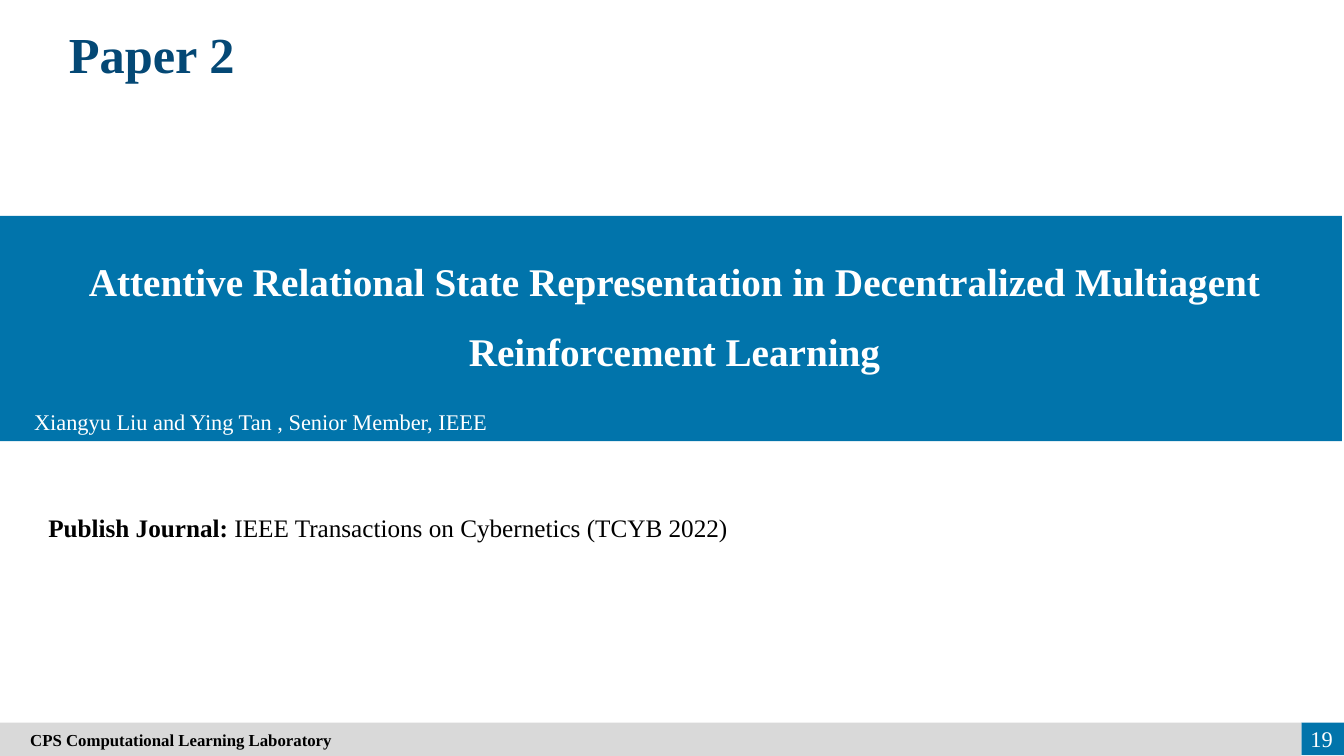
"""Build the "Paper 2" section slide that introduces a journal article."""
import dataclasses
import typing

import pptx
import pptx.dml.color
import pptx.enum.shapes
import pptx.enum.text
import pptx.util

Pt = pptx.util.Pt
Color = pptx.dml.color.RGBColor
Align = pptx.enum.text.PP_ALIGN
Anchor = pptx.enum.text.MSO_ANCHOR

WHITE = Color(0xFF, 0xFF, 0xFF)
BLACK = Color(0x00, 0x00, 0x00)
BLUE = Color(0x01, 0x74, 0xAB)
NAVY = Color(0x04, 0x48, 0x75)
GREY = Color(0xD9, 0xD9, 0xD9)

SLIDE_WIDTH, SLIDE_HEIGHT = 960, 540
FOOTER_TOP = 516.25
PAGE_LEFT = 929.5
FONT_NAME = "Times New Roman"


@dataclasses.dataclass(frozen=True)
class Box:
    left: float
    top: float
    width: float
    height: float


@dataclasses.dataclass(frozen=True)
class Run:
    text: str
    bold: bool = False


@dataclasses.dataclass(frozen=True)
class Label:
    box: Box
    runs: tuple[Run, ...]
    size: float
    color: Color
    align: Align = Align.LEFT
    anchor: Anchor = Anchor.TOP
    line_spacing: float = 1.0
    margin_left: float = 7.2


@dataclasses.dataclass(frozen=True)
class Panel:
    box: Box
    fill: Color
    label: typing.Optional[Label] = None


TITLE = Label(Box(27.4, 13, 162, 51), (Run("Paper 2", True),), 36, NAVY, Align.CENTER)

FOOTER_BOX = Box(0, FOOTER_TOP, PAGE_LEFT, SLIDE_HEIGHT - FOOTER_TOP)
PANELS = (
    Panel(Box(0, 154.2, 958.5, 161), BLUE),
    Panel(Box(PAGE_LEFT, FOOTER_TOP, SLIDE_WIDTH - PAGE_LEFT, 23.25), BLUE),
    Panel(
        FOOTER_BOX,
        GREY,
        Label(
            FOOTER_BOX,
            (Run("CPS Computational Learning Laboratory", True),),
            12,
            BLACK,
            anchor=Anchor.MIDDLE,
            margin_left=21.6,
        ),
    ),
)

LABELS = (
    Label(
        Box(5, 162.7, 953.5, 108.7),
        (
            Run(
                "Attentive Relational State Representation in Decentralized "
                "Multiagent Reinforcement Learning",
                True,
            ),
        ),
        28,
        WHITE,
        Align.CENTER,
        Anchor.MIDDLE,
        1.5,
    ),
    Label(
        Box(17.3, 288, 940, 26.6),
        (Run("Xiangyu Liu and Ying Tan , Senior Member, IEEE"),),
        16,
        WHITE,
    ),
    Label(
        Box(913.7, 513.4, 45.4, 28.8),
        (Run("19"),),
        16,
        WHITE,
        Align.RIGHT,
        Anchor.MIDDLE,
    ),
    Label(
        Box(27.4, 362.2, 781, 29),
        (
            Run("Publish Journal: ", True),
            Run("IEEE Transactions on Cybernetics (TCYB 2022)"),
        ),
        18,
        BLACK,
    ),
)


def set_attributes(target: typing.Any, values: dict[str, typing.Any]) -> None:
    for name, value in values.items():
        setattr(target, name, value)


def lengths(box: Box) -> dict[str, int]:
    return {name: Pt(value) for name, value in dataclasses.asdict(box).items()}


def write_label(shape: typing.Any, label: Label) -> None:
    frame = shape.text_frame
    set_attributes(
        frame,
        {
            "word_wrap": True,
            "auto_size": pptx.enum.text.MSO_AUTO_SIZE.NONE,
            "vertical_anchor": label.anchor,
            "margin_left": Pt(label.margin_left),
            "margin_right": Pt(7.2),
            "margin_top": Pt(3.6),
            "margin_bottom": Pt(3.6),
        },
    )
    paragraph = frame.paragraphs[0]
    set_attributes(
        paragraph, {"alignment": label.align, "line_spacing": label.line_spacing}
    )
    for part in label.runs:
        run = paragraph.add_run()
        run.text = part.text
        set_attributes(
            run.font, {"name": FONT_NAME, "size": Pt(label.size), "bold": part.bold}
        )
        run.font.color.rgb = label.color


def draw_panel(slide: typing.Any, panel: Panel) -> None:
    shape = slide.shapes.add_shape(
        pptx.enum.shapes.MSO_SHAPE.RECTANGLE, **lengths(panel.box)
    )
    shape.shadow.inherit = False
    shape.fill.solid()
    shape.fill.fore_color.rgb = panel.fill
    shape.line.fill.background()
    if panel.label:
        write_label(shape, panel.label)


def draw_label(slide: typing.Any, label: Label) -> None:
    write_label(slide.shapes.add_textbox(**lengths(label.box)), label)


def main() -> None:
    presentation = pptx.Presentation()
    set_attributes(
        presentation,
        {"slide_width": Pt(SLIDE_WIDTH), "slide_height": Pt(SLIDE_HEIGHT)},
    )
    slide = presentation.slides.add_slide(presentation.slide_layouts[5])
    title = slide.shapes.title
    set_attributes(title, lengths(TITLE.box))
    write_label(title, TITLE)
    for panel in PANELS:
        draw_panel(slide, panel)
    for label in LABELS:
        draw_label(slide, label)
    presentation.save("out.pptx")


if __name__ == "__main__":
    main()
